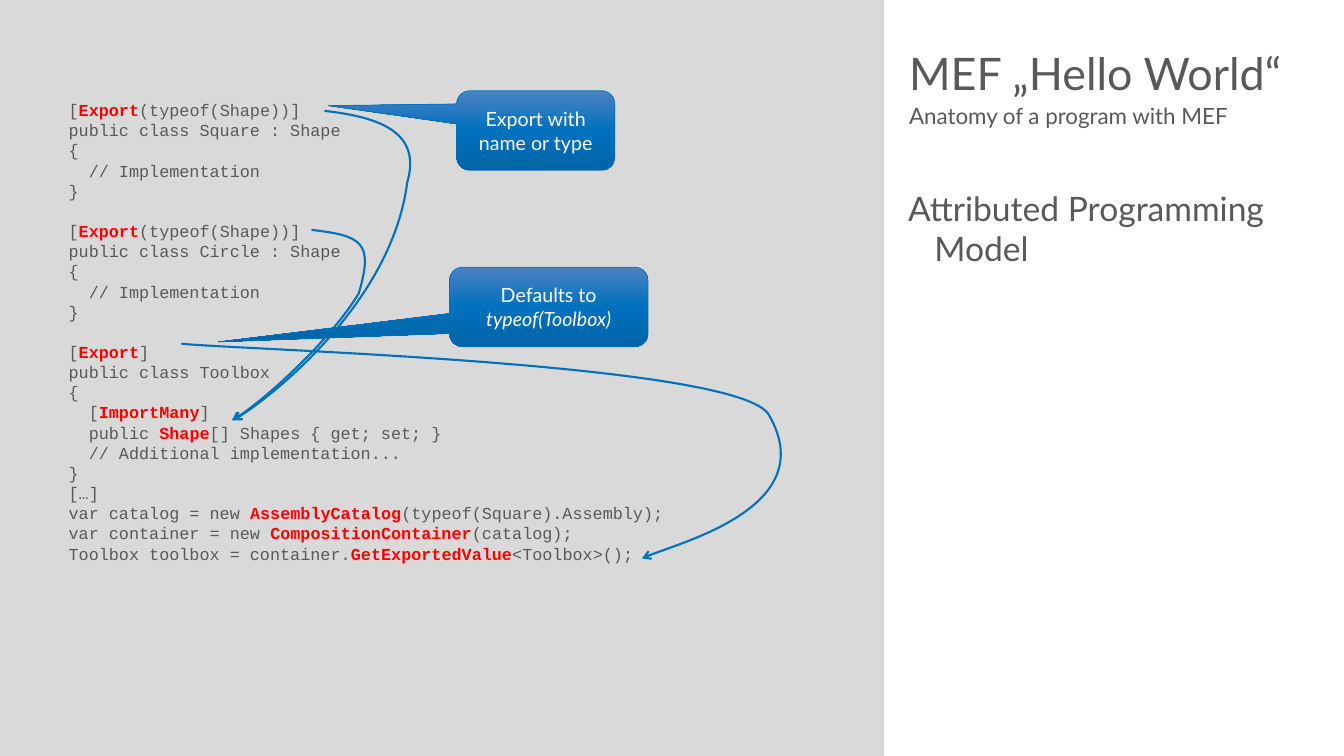
"""Build the slide on the anatomy of an MEF program, with annotated code."""
from copy import deepcopy
from dataclasses import dataclass

from lxml import etree
from pptx import Presentation
from pptx.dml.color import RGBColor
from pptx.enum.shapes import MSO_SHAPE
from pptx.enum.text import MSO_ANCHOR, MSO_AUTO_SIZE, PP_ALIGN
from pptx.oxml.ns import qn
from pptx.slide import Slide
from pptx.text.text import TextFrame
from pptx.util import Pt

RECTANGLE = MSO_SHAPE.RECTANGLE
CALLOUT = MSO_SHAPE.ROUNDED_RECTANGULAR_CALLOUT
TOP, MIDDLE, BOTTOM = MSO_ANCHOR.TOP, MSO_ANCHOR.MIDDLE, MSO_ANCHOR.BOTTOM
LEFT, CENTER = PP_ALIGN.LEFT, PP_ALIGN.CENTER
NO_AUTOFIT = MSO_AUTO_SIZE.NONE

GREY_PANEL = RGBColor(0xD9, 0xD9, 0xD9)
TEXT_GREY = RGBColor(0x59, 0x59, 0x59)
KEYWORD_RED = RGBColor(0xFF, 0x00, 0x00)
WHITE = RGBColor(0xFF, 0xFF, 0xFF)
BLUE = RGBColor(0x00, 0x71, 0xBC)
LIGHT_BLUE = RGBColor(0x4B, 0x82, 0xC4)
DARK_BLUE = RGBColor(0x00, 0x64, 0xA7)

Box = tuple[float, float, float, float]
Point = tuple[float, float]

MARK = "*"
CODE = [
    """[*Export*(typeof(Shape))]
public class Square : Shape
{
  // Implementation 
}

[*Export*(typeof(Shape))]
public class Circle : Shape
{
  // Implementation
}

[*Export*]
public class Toolbox
{
  [*ImportMany*] 
  public *Shape*[] Shapes { get; set; } 
  // Additional implementation... 
}""",
    "[…]",
    """var catalog = new *AssemblyCatalog*(typeof(Square).Assembly); 
var container = new *CompositionContainer*(catalog);
Toolbox toolbox = container.*GetExportedValue*<Toolbox>();""",
]


@dataclass
class TextStyle:
    size: float
    font: str = "Lato"
    color: RGBColor = TEXT_GREY
    marked_color: RGBColor = TEXT_GREY
    marked_bold: bool = False
    marked_italic: bool = False
    align: PP_ALIGN = LEFT
    line_spacing: float = 1.0
    space_before: float = 0
    hanging: float = 0


@dataclass
class Block:
    placeholder: int
    box: Box
    paragraphs: list[str]
    style: TextStyle
    anchor: MSO_ANCHOR = TOP


@dataclass
class Callout:
    box: Box
    text: str
    tip: Point


BLOCKS = [
    Block(0, (649.4, 18.7, 284.4, 52.6), ["MEF „Hello World“"], TextStyle(32), BOTTOM),
    Block(1, (649.4, 72.7, 284.4, 40.3), ["Anatomy of a program with MEF"],
          TextStyle(16, space_before=3.2)),
    Block(2, (49, 71.3, 559.4, 443.5), CODE,
          TextStyle(12, "Courier New", marked_color=KEYWORD_RED, marked_bold=True,
                    line_spacing=Pt(14.4))),
    Block(3, (648.7, 133.9, 285.1, 380.2), ["Attributed Programming Model"],
          TextStyle(24, space_before=24, hanging=18.72)),
]
UNUSED_PLACEHOLDER = 4

EXPORT_TO_IMPORT_ARROWS: list[list[Point]] = [
    [(231.8, 79.2), (269.3, 83.5), (301.7, 93.6), (290.9, 130.3),
     (280.1, 214.6), (184.3, 291.6), (166.3, 300.2)],
    [(222.5, 164.2), (258.5, 168.5), (267.1, 172.8), (256.3, 209.5),
     (236.9, 241.9), (182.9, 291.6), (165.6, 300.2)],
    [(129.6, 245.5), (167, 249.8), (529.2, 259.2), (549.4, 296.6),
     (586.1, 360.7), (476.6, 390.2), (458.6, 398.9)],
]

CALLOUT_STYLE = TextStyle(14, color=WHITE, marked_color=WHITE, marked_italic=True,
                          align=CENTER)
CALLOUTS = [
    Callout((326.2, 64.8, 113, 56.9), "Export with name or type", (-1.311, -0.312)),
    Callout((321.1, 190.8, 141.8, 56.9), "Defaults to *typeof(Toolbox)*", (-1.665, 0.439)),
]


def write(frame: TextFrame, paragraphs: list[str], style: TextStyle) -> None:
    """Write paragraphs whose marked parts get the emphasis of the style."""
    for number, text in enumerate(paragraphs):
        paragraph = frame.add_paragraph() if number else frame.paragraphs[0]
        paragraph.alignment = style.align
        paragraph.line_spacing = style.line_spacing
        paragraph.space_before = Pt(style.space_before)
        paragraph.space_after = Pt(0)
        properties = paragraph._p.get_or_add_pPr()
        properties.set("marL", str(Pt(style.hanging)))
        properties.set("indent", str(-Pt(style.hanging)))
        etree.SubElement(properties, qn("a:buNone"))
        for line_number, line in enumerate(text.split("\n")):
            if line_number:
                paragraph.add_line_break()
            for part_number, part in enumerate(line.split(MARK)):
                if not part:
                    continue
                marked = part_number % 2 == 1
                run = paragraph.add_run()
                run.text = part
                run.font.name = style.font
                run.font.size = Pt(style.size)
                run.font.bold = marked and style.marked_bold
                run.font.italic = marked and style.marked_italic
                run.font.color.rgb = style.marked_color if marked else style.color


def fill_block(slide: Slide, block: Block) -> None:
    """Move a placeholder into place and write its text."""
    holder = slide.placeholders[block.placeholder]
    holder.left, holder.top, holder.width, holder.height = map(Pt, block.box)
    frame = holder.text_frame
    frame.word_wrap = True
    frame.auto_size = NO_AUTOFIT
    frame.vertical_anchor = block.anchor
    frame.margin_left = frame.margin_top = frame.margin_right = frame.margin_bottom = 0
    write(frame, block.paragraphs, block.style)


def draw_panel(slide: Slide) -> None:
    """Draw the grey panel behind the code."""
    panel = slide.shapes.add_shape(RECTANGLE, 0, 0, Pt(631.4), Pt(540))
    panel.shadow.inherit = False
    panel.fill.solid()
    panel.fill.fore_color.rgb = GREY_PANEL
    panel.line.fill.background()
    slide.shapes.element.insert(2, panel.element)


def draw_curved_arrow(slide: Slide, points: list[Point]) -> None:
    """Draw an arrow of cubic curves, each with two control points and an end."""
    start, *rest = [(Pt(x), Pt(y)) for x, y in points]
    builder = slide.shapes.build_freeform(*start)
    builder.add_line_segments(rest, close=False)
    arrow = builder.convert_to_shape()
    arrow.shadow.inherit = False
    arrow.fill.background()
    arrow.line.color.rgb = BLUE
    arrow.line.width = Pt(1.5)
    segments = list(arrow.element.iter(qn("a:lnTo")))
    outline = segments[0].getparent()
    for first in range(0, len(segments), 3):
        curve = etree.SubElement(outline, qn("a:cubicBezTo"))
        for segment in segments[first:first + 3]:
            curve.append(segment[0])
            outline.remove(segment)
    line = arrow.element.spPr.find(qn("a:ln"))
    etree.SubElement(line, qn("a:tailEnd"), type="arrow")


def draw_callout(slide: Slide, callout: Callout) -> None:
    """Draw a callout with a three-stop blue gradient."""
    bubble = slide.shapes.add_shape(CALLOUT, *map(Pt, callout.box))
    bubble.shadow.inherit = False
    for index, value in enumerate((*callout.tip, 0.167)):
        bubble.adjustments[index] = value
    bubble.fill.gradient()
    bubble.fill.gradient_angle = 270
    stops = bubble.element.spPr.find(qn("a:gradFill")).find(qn("a:gsLst"))
    middle_stop = deepcopy(stops[0])
    middle_stop.set("pos", "50000")
    stops.insert(1, middle_stop)
    for stop, color in zip(bubble.fill.gradient_stops, (LIGHT_BLUE, BLUE, DARK_BLUE)):
        stop.color.rgb = color
    bubble.line.color.rgb = BLUE
    bubble.line.width = Pt(0.5)
    bubble.text_frame.word_wrap = True
    bubble.text_frame.vertical_anchor = MIDDLE
    write(bubble.text_frame, [callout.text], CALLOUT_STYLE)


def main() -> None:
    """Build and save the presentation."""
    deck = Presentation()
    deck.slide_width, deck.slide_height = Pt(960), Pt(540)
    slide = deck.slides.add_slide(deck.slide_layouts[4])
    unused = slide.placeholders[UNUSED_PLACEHOLDER].element
    unused.getparent().remove(unused)
    draw_panel(slide)
    for block in BLOCKS:
        fill_block(slide, block)
    for points in EXPORT_TO_IMPORT_ARROWS:
        draw_curved_arrow(slide, points)
    for callout in CALLOUTS:
        draw_callout(slide, callout)
    deck.save("out.pptx")


if __name__ == "__main__":
    main()
